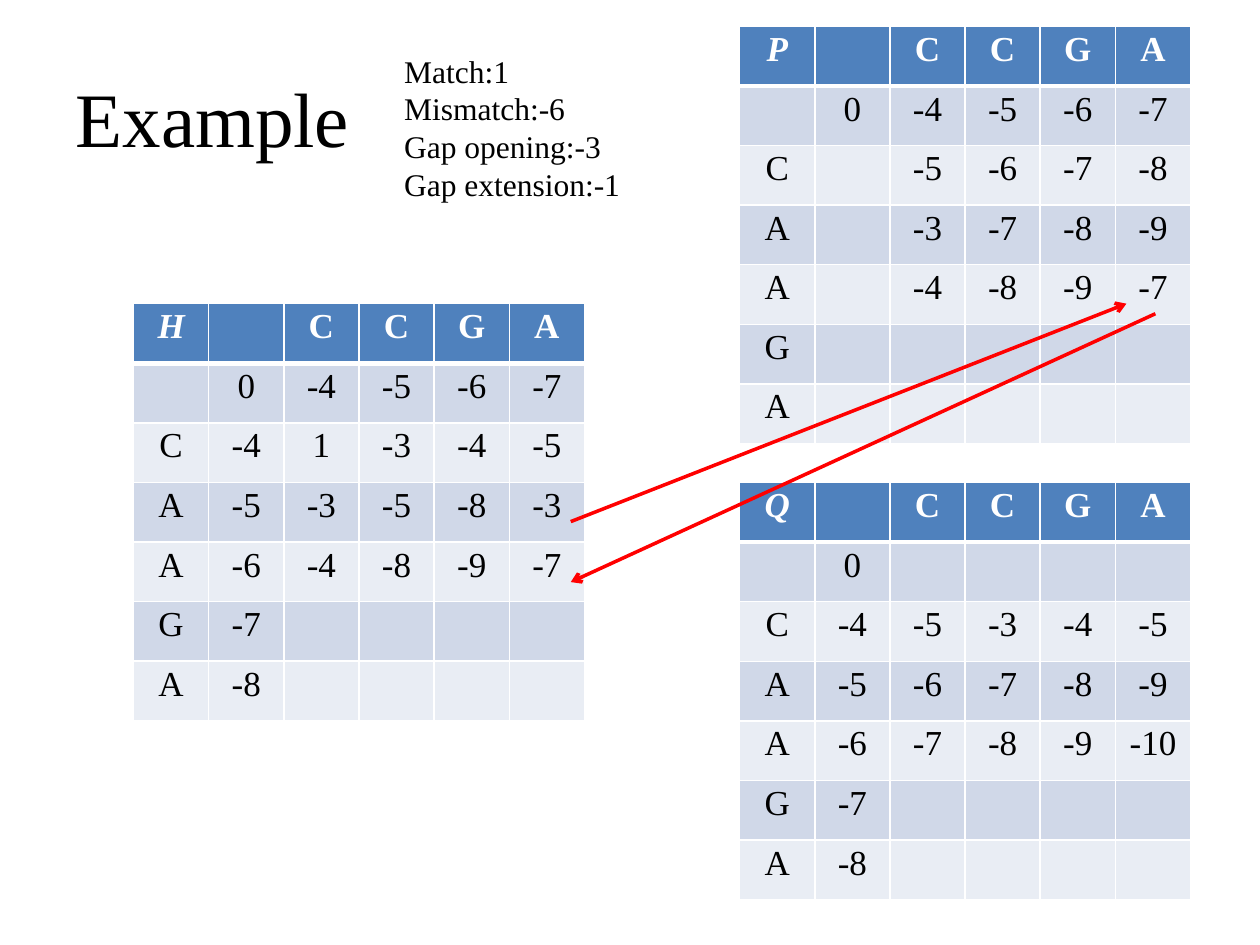
"""Build the affine-gap alignment example slide with its H, P and Q matrices."""
from lxml.etree import SubElement
from pptx import Presentation
from pptx.dml.color import RGBColor
from pptx.enum.shapes import MSO_CONNECTOR
from pptx.enum.text import MSO_ANCHOR, MSO_AUTO_SIZE, PP_ALIGN
from pptx.oxml.ns import qn
from pptx.util import Inches, Pt

FONT = "Times New Roman"
COLORS = {
    "text": "000000",
    "white": "FFFFFF",
    "header": "4F81BD",
    "odd": "D0D8E8",
    "even": "E9EDF4",
    "arrow": "FF0000",
}
SEQUENCE_ACROSS = ["", "C", "C", "G", "A"]
SEQUENCE_DOWN = ["", "C", "A", "A", "G", "A"]
WIDTH, HEIGHT = 3.58, 3.31
MATRICES = [
    ("H", 1.06, 2.41, [
        ["0", "-4", "-5", "-6", "-7"],
        ["-4", "1", "-3", "-4", "-5"],
        ["-5", "-3", "-5", "-8", "-3"],
        ["-6", "-4", "-8", "-9", "-7"],
        ["-7", "", "", "", ""],
        ["-8", "", "", "", ""],
    ]),
    ("P", 5.87, 0.21, [
        ["0", "-4", "-5", "-6", "-7"],
        ["", "-5", "-6", "-7", "-8"],
        ["", "-3", "-7", "-8", "-9"],
        ["", "-4", "-8", "-9", "-7"],
        ["", "", "", "", ""],
        ["", "", "", "", ""],
    ]),
    ("Q", 5.87, 3.83, [
        ["0", "", "", "", ""],
        ["-4", "-5", "-3", "-4", "-5"],
        ["-5", "-6", "-7", "-8", "-9"],
        ["-6", "-7", "-8", "-9", "-10"],
        ["-7", "", "", "", ""],
        ["-8", "", "", "", ""],
    ]),
]
SCORES = ["Match:1", "Mismatch:-6", "Gap opening:-3", "Gap extension:-1"]
ARROWS = [(4.53, 4.14, 8.94, 2.41), (9.17, 2.49, 4.53, 4.62)]


def style_font(para, size, color="text", bold=False, italic=False):
    font = para.font
    font.name, font.size = FONT, Pt(size)
    font.bold, font.italic = bold, italic
    font.color.rgb = RGBColor.from_string(COLORS[color])


def style_cell(cell, row, fill):
    cell.margin_left = cell.margin_right = Inches(0.06)
    cell.margin_top = cell.margin_bottom = Inches(0.03)
    properties = cell._tc.get_or_add_tcPr()
    for side in ("lnL", "lnR", "lnT", "lnB"):
        thick = (row, side) in ((0, "lnB"), (1, "lnT"))
        border = SubElement(properties, qn(f"a:{side}"), w=str(Pt(3 if thick else 1)))
        solid = SubElement(border, qn("a:solidFill"))
        SubElement(solid, qn("a:srgbClr"), val=COLORS["white"])
    cell.fill.solid()
    cell.fill.fore_color.rgb = RGBColor.from_string(COLORS[fill])


deck = Presentation()
deck.slide_width, deck.slide_height = Inches(10), Inches(7.5)
page = deck.slides.add_slide(deck.slide_layouts[5])

title = page.shapes.title
title.left, title.top = Inches(0.5), Inches(0.3)
title.width, title.height = Inches(9), Inches(1.25)
title.text_frame.text = "Example"
title.text_frame.vertical_anchor = MSO_ANCHOR.MIDDLE
title.text_frame.paragraphs[0].alignment = PP_ALIGN.LEFT
style_font(title.text_frame.paragraphs[0], 44)

score_box = page.shapes.add_textbox(Inches(3.11), Inches(0.36), Inches(1.93), Inches(1.31))
score_box.text_frame.word_wrap = False
score_box.text_frame.auto_size = MSO_AUTO_SIZE.SHAPE_TO_FIT_TEXT
score_box.text_frame.text = "\n".join(SCORES)
for para in score_box.text_frame.paragraphs:
    style_font(para, 18)

for name, left, top, values in MATRICES:
    rows = [[name] + SEQUENCE_ACROSS]
    rows += [[letter] + scores for letter, scores in zip(SEQUENCE_DOWN, values)]
    table = page.shapes.add_table(
        len(rows), len(rows[0]), Inches(left), Inches(top), Inches(WIDTH), Inches(HEIGHT)
    ).table
    for r, row in enumerate(rows):
        fill = "header" if r == 0 else ("odd" if r % 2 else "even")
        for c, value in enumerate(row):
            cell = table.cell(r, c)
            style_cell(cell, r, fill)
            if value:
                cell.text = value
                para = cell.text_frame.paragraphs[0]
                para.alignment = PP_ALIGN.CENTER
                style_font(para, 20, "white" if r == 0 else "text", r == 0, r == c == 0)

for x1, y1, x2, y2 in ARROWS:
    arrow = page.shapes.add_connector(
        MSO_CONNECTOR.STRAIGHT, Inches(x1), Inches(y1), Inches(x2), Inches(y2)
    )
    arrow.line.color.rgb = RGBColor.from_string(COLORS["arrow"])
    arrow.line.width = Pt(2)
    SubElement(arrow.line._get_or_add_ln(), qn("a:tailEnd"), type="arrow")
    SubElement(arrow._element.spPr, qn("a:effectLst"))

deck.save("out.pptx")
